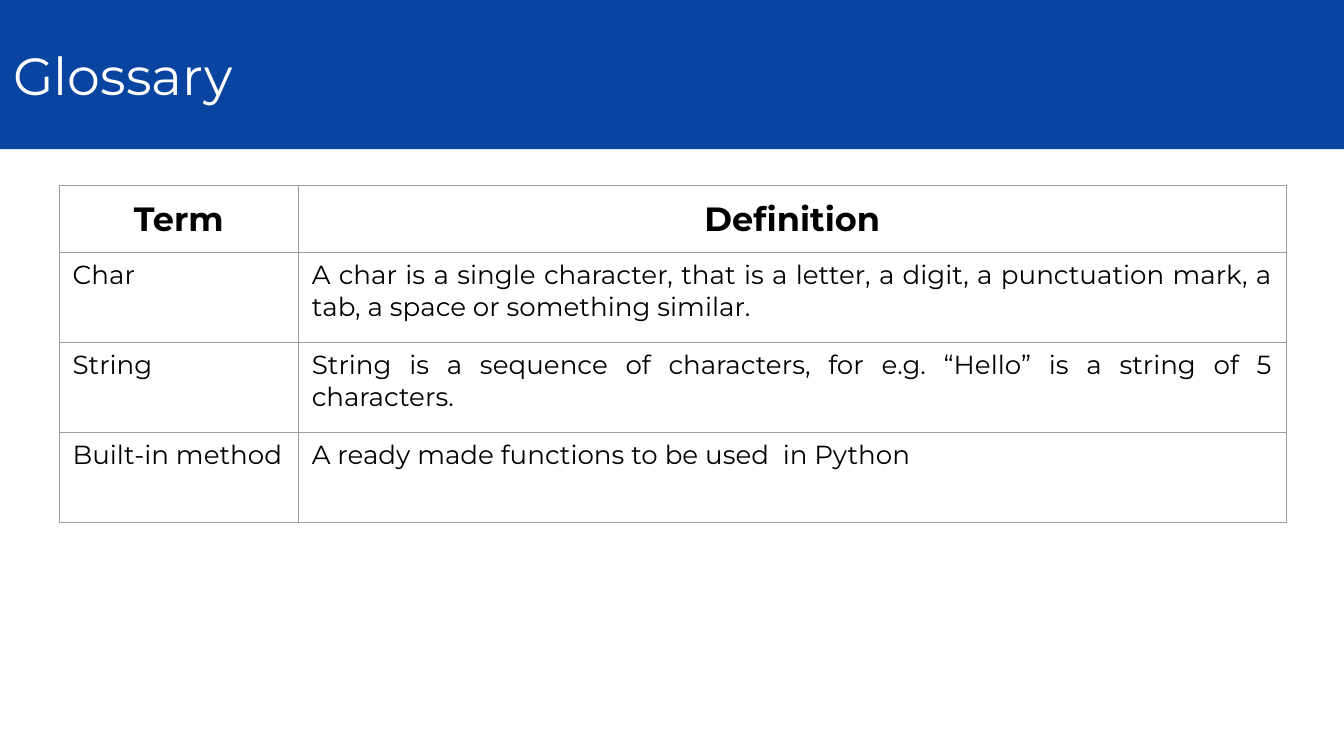
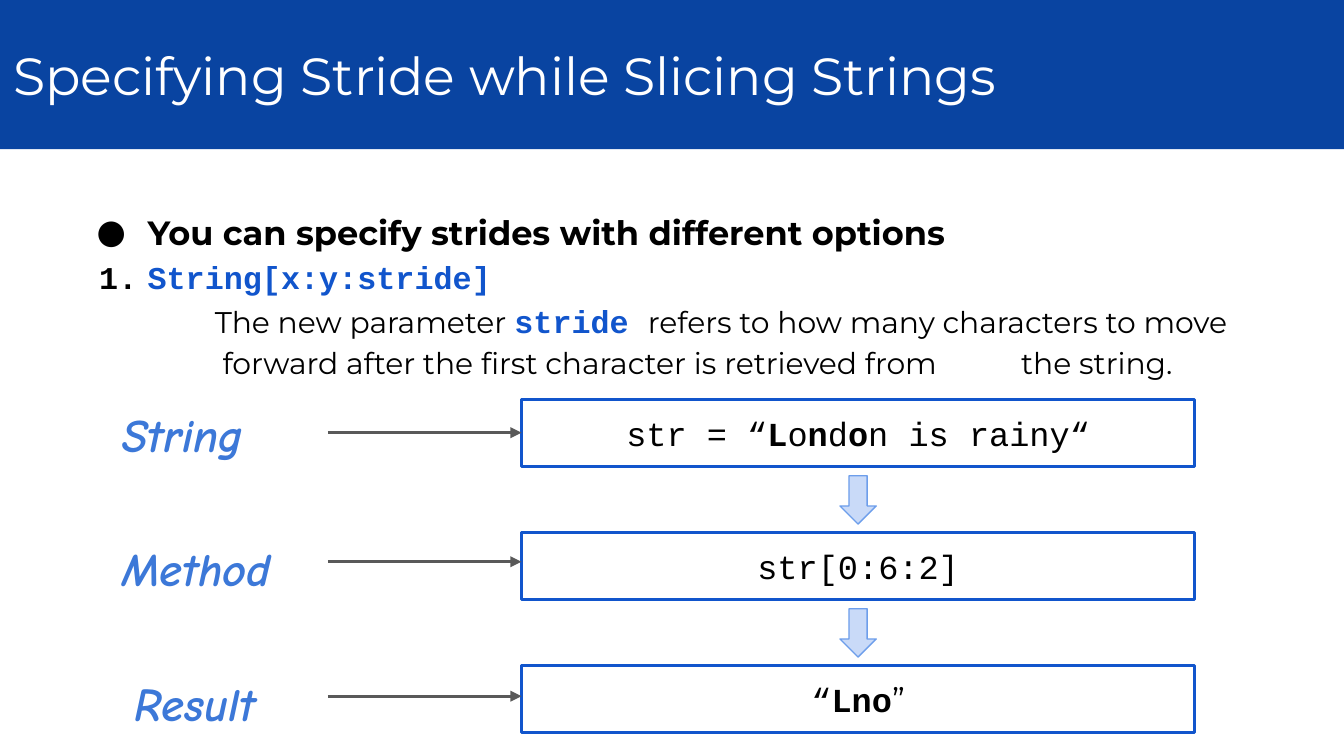
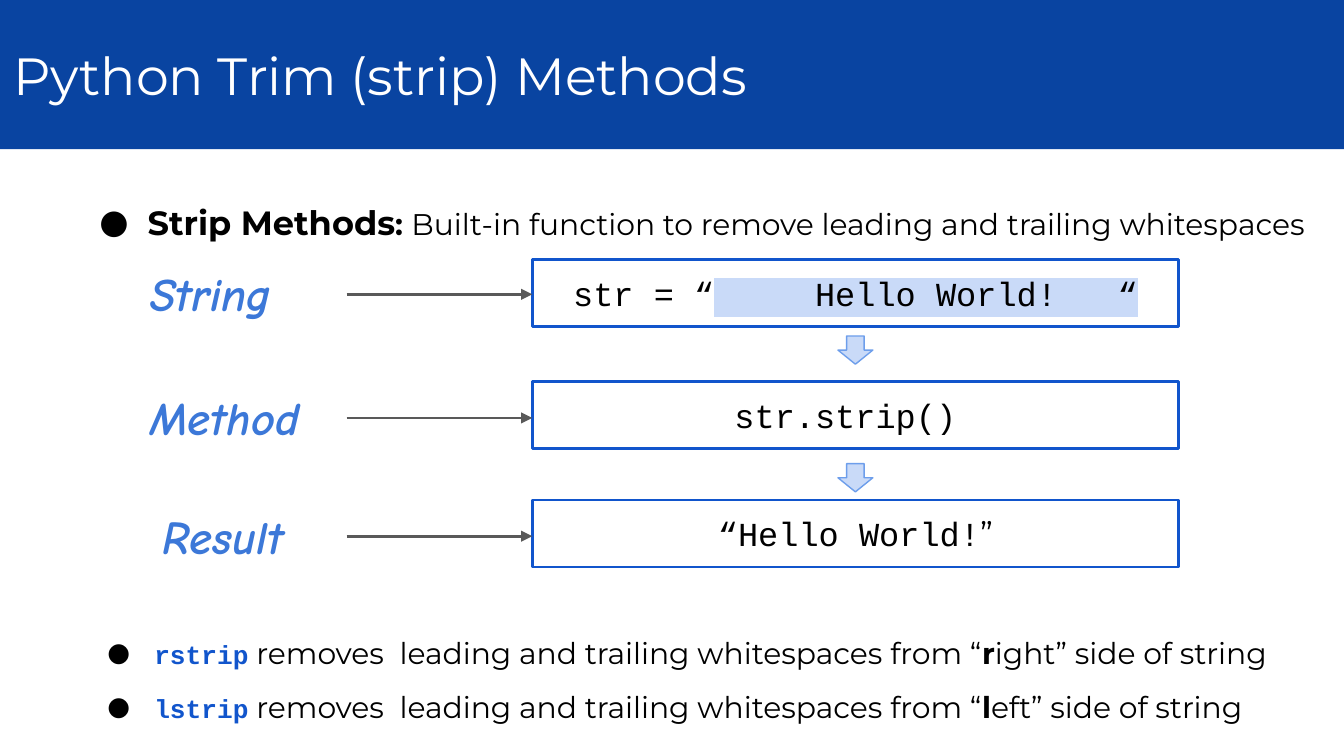
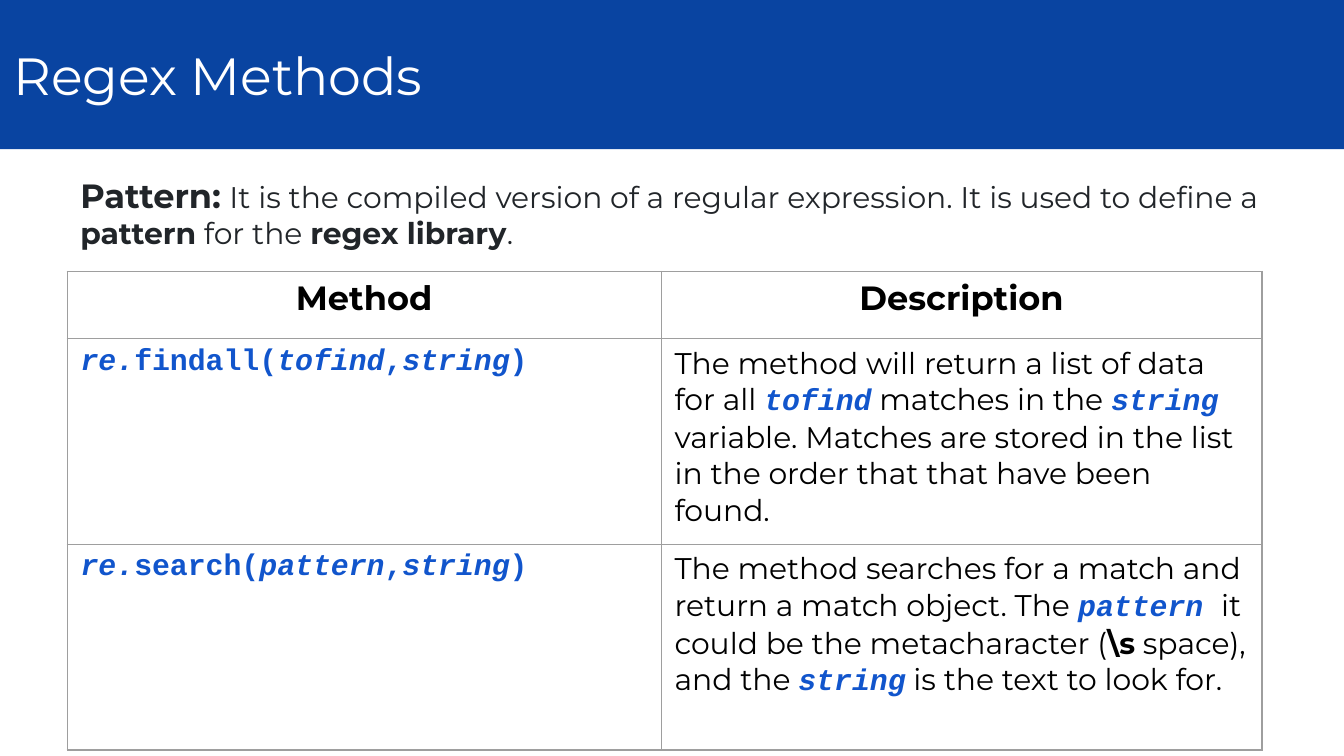
from collections import namedtuple

from lxml.etree import SubElement
from pptx import Presentation
from pptx.dml.color import RGBColor
from pptx.enum.shapes import MSO_CONNECTOR, MSO_SHAPE
from pptx.enum.text import MSO_ANCHOR, MSO_AUTO_SIZE, PP_ALIGN
from pptx.oxml.ns import qn
from pptx.util import Inches, Pt

# Colours
WHITE = RGBColor(0xFF, 0xFF, 0xFF)
BLACK = RGBColor(0x00, 0x00, 0x00)
CHARCOAL = RGBColor(0x21, 0x25, 0x29)
BAND_BLUE = RGBColor(0x09, 0x44, 0xA1)
CODE_BLUE = RGBColor(0x11, 0x55, 0xCC)
LABEL_BLUE = RGBColor(0x3C, 0x78, 0xD8)
PALE_BLUE = RGBColor(0xC9, 0xDA, 0xF8)
ARROW_EDGE = RGBColor(0x6D, 0x9E, 0xEB)
LINE_GREY = RGBColor(0x59, 0x59, 0x59)
BORDER_GREY = RGBColor(0x9E, 0x9E, 0x9E)

# Text styles
SANS, MONO, COMIC = "Montserrat", "Courier New", "Comic Neue"
Style = namedtuple("Style", "font size color bold italic highlight",
                   defaults=(BLACK, False, False, None))
TITLE = Style(SANS, 28, WHITE)
HEADING = Style(SANS, 18, bold=True)
CELL = Style(SANS, 14)
BODY = Style(SANS, 16)
STRONG = Style(SANS, 16, bold=True)
NOTE = Style(SANS, 16, CHARCOAL)
NOTE_STRONG = Style(SANS, 16, CHARCOAL, bold=True)
NOTE_HEADING = Style(SANS, 18, CHARCOAL, bold=True)
CODE = Style(MONO, 16, CODE_BLUE, bold=True)
ARGUMENT = Style(MONO, 16, CODE_BLUE, bold=True, italic=True)
SYNTAX = Style(MONO, 17, CODE_BLUE, bold=True)
METHOD_NAME = Style(MONO, 14, CODE_BLUE, bold=True)
SAMPLE = Style(MONO, 18)
SAMPLE_STRONG = Style(MONO, 18, bold=True)
SAMPLE_MARKED = Style(MONO, 18, highlight=PALE_BLUE)
QUOTE = Style(SANS, 18)
LABEL = Style(COMIC, 25, LABEL_BLUE, bold=True, italic=True)
NEW_LINE = ("\n", None)


def write(para, pieces, align=PP_ALIGN.LEFT, spacing=None, bullet=None, hanging=0.36):
    """Fill a paragraph with styled pieces, as a list item if a bullet is given."""
    para.alignment = align
    if spacing:
        para.line_spacing = spacing
    if bullet:
        properties = para._p.get_or_add_pPr()
        properties.set("marL", str(Inches(0.5)))
        properties.set("indent", str(-Inches(hanging)))
        color = SubElement(properties, qn("a:buClr"))
        SubElement(color, qn("a:srgbClr"), val=str(BLACK))
        if bullet == "1.":
            SubElement(properties, qn("a:buFont"), typeface=MONO)
            SubElement(properties, qn("a:buAutoNum"), type="arabicPeriod")
        else:
            SubElement(properties, qn("a:buFont"), typeface=SANS)
            SubElement(properties, qn("a:buChar"), char=bullet)
    for text, style in pieces:
        if style is None:
            para.add_line_break()
            continue
        span = para.add_run()
        span.text = text
        font = span.font
        font.size, font.bold, font.italic = Pt(style.size), style.bold, style.italic
        font.color.rgb = style.color
        if style.highlight:
            highlight = SubElement(span._r.get_or_add_rPr(), qn("a:highlight"))
            SubElement(highlight, qn("a:srgbClr"), val=str(style.highlight))
        font.name = style.font


def add_box(slide, left, top, width, height, line=None, weight=1.5):
    """Add a wrapping text box, outlined if a line colour is given; return its frame."""
    place = [Inches(length) for length in (left, top, width, height)]
    if line is None:
        box = slide.shapes.add_textbox(*place)
    else:
        box = slide.shapes.add_shape(MSO_SHAPE.RECTANGLE, *place)
        box.shadow.inherit = False
        box.fill.background()
        box.line.color.rgb = line
        box.line.width = Pt(weight)
    frame = box.text_frame
    frame.word_wrap = True
    frame.vertical_anchor = MSO_ANCHOR.TOP
    frame.margin_top = frame.margin_bottom = Inches(0.1)
    return frame


# Widescreen deck, 16 to 9
deck = Presentation()
deck.slide_width = Inches(10)
deck.slide_height = deck.slide_width * 9 // 16

# Slides with their title bands
slides = []
for heading in ("Glossary", "Specifying Stride while Slicing Strings",
                "Python Trim (strip) Methods", "Regex Methods"):
    slide = deck.slides.add_slide(deck.slide_layouts[5])
    band = slide.shapes.title
    band.left, band.top, band.width, band.height = 0, 0, deck.slide_width, Inches(1.11)
    band.fill.solid()
    band.fill.fore_color.rgb = BAND_BLUE
    frame = band.text_frame
    frame.auto_size = MSO_AUTO_SIZE.NONE
    frame.vertical_anchor = MSO_ANCHOR.MIDDLE
    frame.margin_top = frame.margin_bottom = Inches(0.1)
    write(frame.paragraphs[0], [(heading, TITLE)])
    slides.append(slide)
glossary, stride, strip, regex = slides

# Stride: explanation above the steps
frame = add_box(stride, 0.5, 1.43, 9.13, 2.52, WHITE, 0.75)
write(frame.paragraphs[0], [("You can specify strides with different options", HEADING)],
      spacing=1.15, bullet="●", hanging=0.38)
para = frame.add_paragraph()
write(para, [
    ("String[x:y:stride]", SYNTAX), NEW_LINE,
    ("\tThe new parameter ", BODY), ("stride ", SYNTAX),
    ("refers to how many characters to move", BODY), NEW_LINE,
    ("\t forward after the first character is retrieved from\tthe string.", BODY),
], spacing=1.15, bullet="1.")
tabs = SubElement(para._p.get_or_add_pPr(), qn("a:tabLst"))
for position in (1, 7):
    SubElement(tabs, qn("a:tab"), pos=str(Inches(position)), algn="l")

# Strip: definition above and variants below the steps
frame = add_box(strip, 0.5, 1.25, 9.42, 0.65)
write(frame.paragraphs[0], [
    ("Strip Methods", HEADING), (": ", STRONG),
    ("Built-in function to remove leading and trailing whitespaces", BODY),
], spacing=1.5, bullet="●")
frame = add_box(strip, 0.55, 4.49, 9.14, 1)
for index, side in enumerate(("right", "left")):
    para = frame.add_paragraph() if index else frame.paragraphs[0]
    write(para, [
        (side[0] + "strip", METHOD_NAME),
        (" removes  leading and trailing whitespaces from “", BODY),
        (side[0], STRONG), (side[1:] + "” side of string", BODY),
    ], spacing=1.5, bullet="●", hanging=0.35)

# Regex: definition above the table
frame = add_box(regex, 0.5, 1.2, 9.13, 0.77)
write(frame.paragraphs[0], [
    ("Pattern:", NOTE_HEADING), (" ", NOTE_STRONG),
    ("It is the compiled version of a regular expression. It is used to define a ", NOTE),
    ("pattern", NOTE_STRONG), (" for the ", NOTE), ("regex library", NOTE_STRONG), (".", NOTE),
])

# Steps: label, pointer and code box in each row, block arrows between rows
# Each row holds label top, box top, pointer height and code.
BOX_HEIGHT, LABEL_HEIGHT = 0.5, 0.62
stride_steps = [
    (2.92, 2.97, 3.22, [("str = “", SAMPLE), ("L", SAMPLE_STRONG), ("o", SAMPLE),
                        ("n", SAMPLE_STRONG), ("d", SAMPLE), ("o", SAMPLE_STRONG),
                        ("n is rainy“", SAMPLE)]),
    (3.92, 3.96, 4.18, [("str[0:6:2]", SAMPLE)]),
    (4.92, 4.95, 5.18, [("“", SAMPLE), ("Lno", SAMPLE_STRONG), ("”", QUOTE)]),
]
strip_steps = [
    (1.87, 1.93, 2.19, [("str = “", SAMPLE), ("     Hello World!   “", SAMPLE_MARKED)]),
    (2.79, 2.84, 3.11, [("str.strip() ", SAMPLE)]),
    (3.68, 3.72, 3.99, [("“Hello World!", SAMPLE), ("”", QUOTE)]),
]
for (slide, steps, label_left, label_width, box_left, box_width,
     arrow_tops, arrow_width, arrow_height) in (
        (stride, stride_steps, 0.81, 1.63, 3.88, 5.01, (3.54, 4.53), 0.27, 0.36),
        (strip, strip_steps, 1.02, 1.56, 3.96, 4.81, (2.5, 3.45), 0.26, 0.21)):
    for name, inset, (label_top, box_top, line_top, code) in zip(
            ("String", "Method", "Result"), (0, 0, 0.09), steps):
        frame = add_box(slide, label_left + inset, label_top,
                        label_width - 2 * inset, LABEL_HEIGHT)
        write(frame.paragraphs[0], [(name, LABEL)])
        frame = add_box(slide, box_left, box_top, box_width, BOX_HEIGHT, CODE_BLUE)
        write(frame.paragraphs[0], code, PP_ALIGN.CENTER)

        pointer = slide.shapes.add_connector(
            MSO_CONNECTOR.STRAIGHT, Inches(label_left + label_width), Inches(line_top),
            Inches(box_left), Inches(line_top))
        pointer.line.color.rgb = LINE_GREY
        pointer.line.width = Pt(1.5)
        SubElement(pointer.line._get_or_add_ln(), qn("a:tailEnd"), type="triangle")
        SubElement(pointer._element.spPr, qn("a:effectLst"))

    for arrow_top in arrow_tops:
        arrow = slide.shapes.add_shape(
            MSO_SHAPE.DOWN_ARROW, Inches(box_left + (box_width - arrow_width) / 2),
            Inches(arrow_top), Inches(arrow_width), Inches(arrow_height))
        arrow.shadow.inherit = False
        arrow.fill.solid()
        arrow.fill.fore_color.rgb = PALE_BLUE
        arrow.line.color.rgb = ARROW_EDGE
        arrow.line.width = Pt(0.75)

# Tables: glossary of terms and regex methods
glossary_rows = [
    [[("Term", HEADING)], [("Definition", HEADING)]],
    [[("Char", CELL)],
     [("A char is a single character, that is a letter, a digit, a punctuation mark, "
       "a tab, a space or something similar. ", CELL)]],
    [[("String", CELL)],
     [("String is a sequence of characters, for e.g. “Hello” is a string of 5 characters.",
       CELL)]],
    [[("Built-in method", CELL)], [("A ready made functions to be used  in Python", CELL)]],
]
regex_rows = [
    [[("Method", HEADING)], [("Description", HEADING)]],
    [[("re.", ARGUMENT), ("findall(", CODE), ("tofind", ARGUMENT), (",", CODE),
      ("string", ARGUMENT), (")", CODE)],
     [("The method will return a list of data for all ", BODY), ("tofind", ARGUMENT),
      (" matches in the ", BODY), ("string", ARGUMENT),
      (" variable. Matches are stored in the list in the order that that have been found.",
       BODY)]],
    [[("re.", ARGUMENT), ("search(", CODE), ("pattern", ARGUMENT), (",", CODE),
      ("string", ARGUMENT), (")", CODE)],
     [("The method searches for a match and return a match object. The ", BODY),
      ("pattern ", ARGUMENT), ("it could be the metacharacter (", BODY), ("\\s", STRONG),
      (" space), and the ", BODY), ("string", ARGUMENT),
      (" is the text to look for.", BODY)]],
]
for slide, rows, left, top, widths, row_height, header_anchor, last_align in (
        (glossary, glossary_rows, 0.44, 1.38, (1.78, 7.35), 0.67,
         MSO_ANCHOR.MIDDLE, PP_ALIGN.JUSTIFY),
        (regex, regex_rows, 0.5, 2.02, (4.42, 4.47), 1.53,
         MSO_ANCHOR.TOP, PP_ALIGN.LEFT)):
    heights = [0.5] + [row_height] * (len(rows) - 1)
    table = slide.shapes.add_table(len(rows), len(widths), Inches(left), Inches(top),
                                   Inches(sum(widths)), Inches(sum(heights))).table
    table.first_row = table.horz_banding = False
    for column, width in zip(table.columns, widths):
        column.width = Inches(width)
    for row_index, (row, height) in enumerate(zip(rows, heights)):
        table.rows[row_index].height = Inches(height)
        for column_index, pieces in enumerate(row):
            cell = table.cell(row_index, column_index)
            for edge in ("a:lnL", "a:lnR", "a:lnT", "a:lnB"):
                border = SubElement(cell._tc.get_or_add_tcPr(), qn(edge), w=str(Pt(0.75)))
                fill = SubElement(border, qn("a:solidFill"))
                SubElement(fill, qn("a:srgbClr"), val=str(BORDER_GREY))
            cell.fill.background()
            if row_index == 0:
                cell.vertical_anchor = header_anchor
                align = PP_ALIGN.CENTER
            else:
                align = last_align if column_index else PP_ALIGN.LEFT
            write(cell.text_frame.paragraphs[0], pieces, align)

deck.save("out.pptx")
